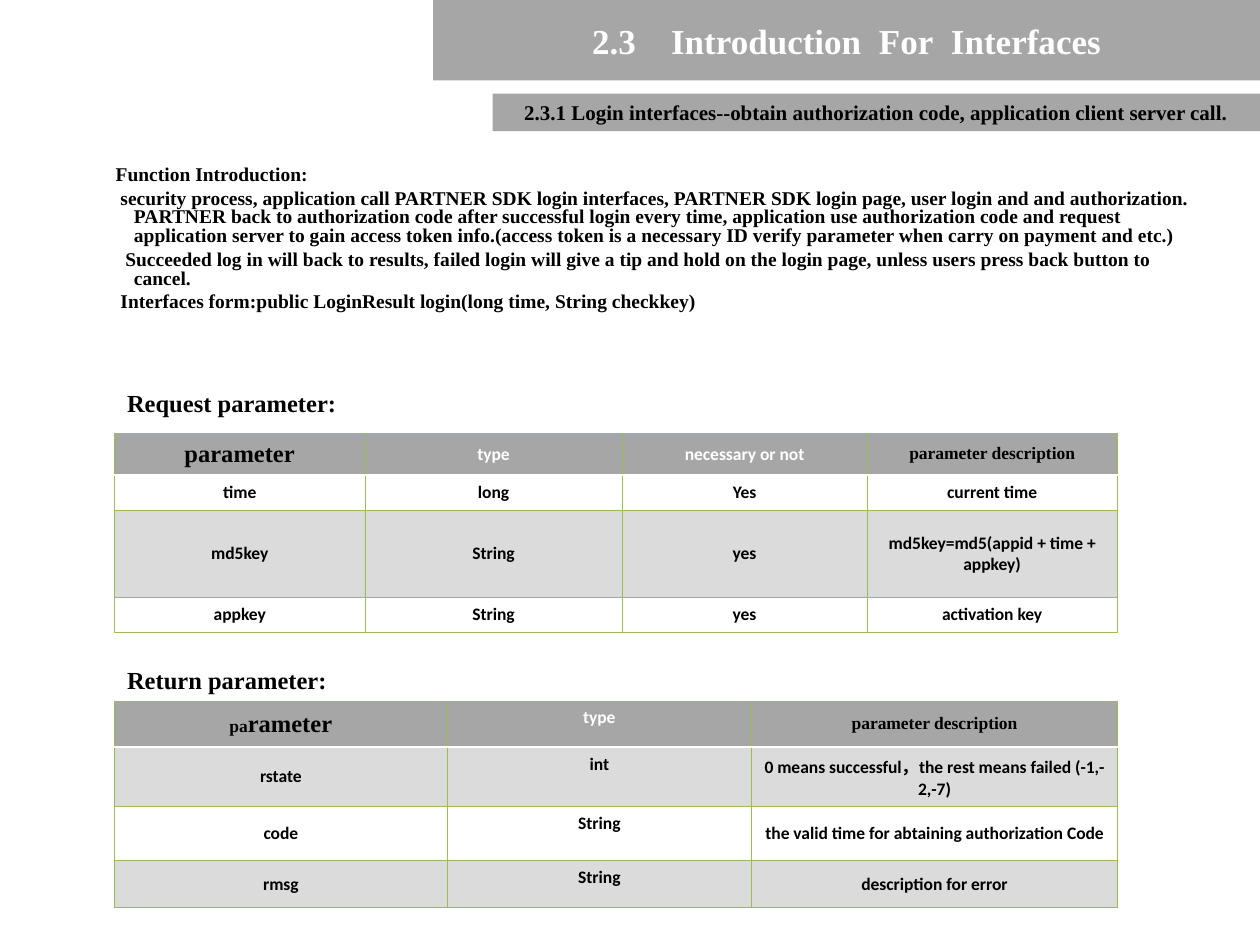
from lxml import etree
from pptx import Presentation
from pptx.dml.color import RGBColor
from pptx.enum.shapes import MSO_SHAPE
from pptx.enum.text import MSO_ANCHOR, MSO_AUTO_SIZE, PP_ALIGN
from pptx.oxml.ns import qn
from pptx.util import Pt

RECTANGLE = MSO_SHAPE.RECTANGLE
TOP, MIDDLE = MSO_ANCHOR.TOP, MSO_ANCHOR.MIDDLE
LEFT, CENTER = PP_ALIGN.LEFT, PP_ALIGN.CENTER
FIXED = MSO_AUTO_SIZE.NONE
COLORS = {"grey": "A6A6A6", "green": "9BBB59", "white": "FFFFFF", "black": "000000"}
SERIF, SANS, CHINESE = "Times New Roman", "Calibri", "Noto Sans CJK SC"
TABLE_LEFT = 65.5


class SlideBuilder:
    def __init__(self, slide):
        self.slide = slide

    def span(self, para, text, size, font=SERIF, color="black", spacing=0):
        run = para.add_run()
        run.text = text
        run.font.size = Pt(size)
        run.font.bold = True
        run.font.name = font
        run.font.color.rgb = RGBColor.from_string(COLORS[color])
        properties = run.font._element
        etree.SubElement(properties, qn("a:ea"), typeface=CHINESE)
        if spacing:
            properties.set("spc", str(spacing * 100))

    def format_frame(self, frame, anchor=TOP, wrap=True):
        frame.word_wrap = wrap
        frame.auto_size = FIXED
        frame.vertical_anchor = anchor
        frame.margin_left = frame.margin_right = Pt(7.2)
        frame.margin_top = frame.margin_bottom = Pt(3.6)

    def paint(self, target, color):
        target.fill.solid()
        target.fill.fore_color.rgb = RGBColor.from_string(COLORS[color])

    def title(self, left, top, width, height, pieces):
        """Pieces are (text, extra letter spacing) pairs."""
        title = self.slide.shapes.title
        title.left, title.top, title.width, title.height = map(Pt, (left, top, width, height))
        self.paint(title, "grey")
        self.format_frame(title.text_frame, MIDDLE)
        para = title.text_frame.paragraphs[0]
        para.alignment = CENTER
        for text, spacing in pieces:
            self.span(para, text, 20, color="white", spacing=spacing)

    def bar(self, left, top, width, height, text):
        bar = self.slide.shapes.add_shape(RECTANGLE, *map(Pt, (left, top, width, height)))
        bar.shadow.inherit = False
        bar.line.fill.background()
        self.paint(bar, "grey")
        self.format_frame(bar.text_frame)
        para = bar.text_frame.paragraphs[0]
        para.alignment = CENTER
        self.span(para, text, 12)

    def label(self, left, top, width, height, text):
        box = self.slide.shapes.add_textbox(*map(Pt, (left, top, width, height)))
        self.format_frame(box.text_frame, wrap=False)
        self.span(box.text_frame.paragraphs[0], text, 14)

    def body(self, left, top, width, height, items):
        """Items are (first-line offset, text) pairs with a shared hanging margin."""
        box = self.slide.shapes.add_textbox(*map(Pt, (left, top, width, height)))
        frame = box.text_frame
        self.format_frame(frame)
        for number, (offset, text) in enumerate(items):
            para = frame.add_paragraph() if number else frame.paragraphs[0]
            properties = para._p.get_or_add_pPr()
            properties.set("marL", str(Pt(27)))
            properties.set("indent", str(Pt(offset)))
            para.alignment = LEFT
            para.line_spacing = 0.8
            if number:
                para.space_before = Pt(3)
            self.span(para, text, 11.1)

    def border(self, cell, side, color, width):
        line = etree.SubElement(cell._tc.get_or_add_tcPr(), qn(f"a:ln{side}"), w=str(Pt(width)))
        fill = etree.SubElement(line, qn("a:solidFill"))
        etree.SubElement(fill, qn("a:srgbClr"), val=COLORS[color])

    def style_cell(self, cell, row, shaded, anchor):
        thin, thick = ("green", 0.45), ("white", 1.47)
        edges = {"L": thin, "R": thin, "T": thick if row == 1 else thin,
                 "B": thick if row == 0 else thin}
        for side, (color, width) in edges.items():
            self.border(cell, side, color, width)
        cell.vertical_anchor = anchor
        if row == 0 or shaded:
            self.paint(cell, "grey")
        else:
            cell.fill.background()
        if shaded:
            shade = cell._tc.tcPr.find(qn("a:solidFill"))[0]
            etree.SubElement(shade, qn("a:alpha"), val="40000")

    def table(self, top, widths, heights, header, rows, shaded_rows, top_columns=()):
        """Header cells are lists of spans; the other rows are plain strings."""
        frame = self.slide.shapes.add_table(
            len(heights), len(widths),
            *map(Pt, (TABLE_LEFT, top, sum(widths), sum(heights))))
        table = frame.table
        for column, width in zip(table.columns, widths):
            column.width = Pt(width)
        for row, height in zip(table.rows, heights):
            row.height = Pt(height)
        plain = [[[(text, 10, SANS)] for text in row] for row in rows]
        for r, row in enumerate([header] + plain):
            for c, spans in enumerate(row):
                cell = table.cell(r, c)
                self.style_cell(cell, r, r in shaded_rows, TOP if c in top_columns else MIDDLE)
                para = cell.text_frame.paragraphs[0]
                para.alignment = CENTER
                for span in spans:
                    self.span(para, *span)


def main():
    deck = Presentation()
    deck.slide_width, deck.slide_height = Pt(720), Pt(540)
    page = SlideBuilder(deck.slides.add_slide(deck.slide_layouts[5]))

    page.title(247.5, 0, 472.5, 46, [
        ("2.3", 0), (" ", 15), ("Introduction", 0), (" ", 5),
        ("For", 0), (" ", 5), ("Interfaces", 0)])
    page.bar(281.5, 53.5, 438.5, 21.5,
             "2.3.1 Login interfaces--obtain authorization code, application client server call.")
    page.body(42.5, 91.5, 648, 115, [
        (-10.5, "Function Introduction:"),
        (-7.75, "security process, application call PARTNER SDK login interfaces, PARTNER SDK "
                "login page, user login and and authorization. PARTNER back to authorization "
                "code after successful login every time, application use authorization code "
                "and request application server to gain access token info.(access token is a "
                "necessary ID verify parameter when carry on payment and etc.)"),
        (-5, "Succeeded log in will back to results, failed login will give a tip and hold on "
             "the login page, unless users press back button to cancel."),
        (-7.75, "Interfaces form:public LoginResult login(long time, String checkkey)"),
    ])

    type_header = [("type", 10, SANS, "white")]
    description_header = [("parameter description", 10)]

    page.label(TABLE_LEFT, 218, 134, 24.5, "Request parameter:")
    page.table(
        247.5, [143, 147, 140, 143], [24, 20, 50, 20],
        [[("parameter", 14)], type_header,
         [("necessary or not", 10, SANS, "white")], description_header],
        [["time", "long", "Yes", "current time"],
         ["md5key", "String", "yes", "md5key=md5(appid + time + appkey)"],
         ["appkey", "String", "yes", "activation key"]],
        shaded_rows=(2,))

    page.label(TABLE_LEFT, 376.5, 400, 24.5, "Return parameter:")
    page.table(
        400.5, [190, 174, 209], [26.5, 33.5, 31, 27],
        [[("pa", 10), ("rameter", 14)], type_header, description_header],
        [["rstate", "int", "0 means successful，the rest means failed (-1,-2,-7)"],
         ["code", "String", "the valid time for abtaining authorization Code"],
         ["rmsg", "String", "description for error"]],
        shaded_rows=(1, 3), top_columns=(1,))

    deck.save("out.pptx")


if __name__ == "__main__":
    main()
